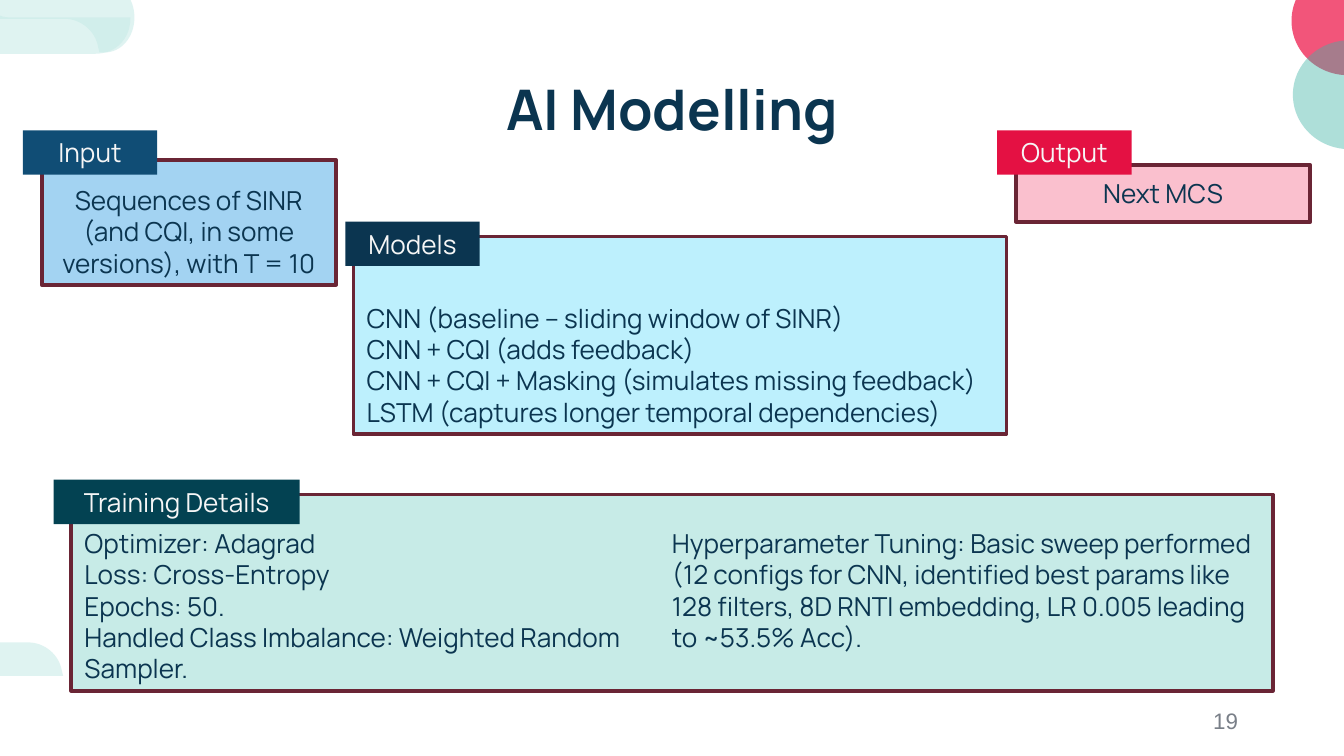
from dataclasses import dataclass

from lxml.etree import Element, SubElement
from pptx import Presentation
from pptx.dml.color import RGBColor
from pptx.enum.shapes import MSO_SHAPE as Shape
from pptx.enum.text import MSO_ANCHOR as Anchor, PP_ALIGN as Align
from pptx.oxml.ns import qn
from pptx.util import Emu, Pt

SCALE = 9144  # 100 px to the inch


@dataclass(frozen=True)
class Theme:
    font: str = "Manrope"
    plain: str = "Arial"
    ink: str = "0B3550"
    light: str = "F6F6F6"
    gray: str = "797F88"
    edge: str = "6A2535"
    sky: str = "BDF0FD"
    blue: str = "A3D3F2"
    navy: str = "104D75"
    pink: str = "FABBCA"
    red: str = "E41143"
    mint: str = "C7EBE7"
    pine: str = "034252"
    rose: str = "F2557A"
    teal: str = "3FB3A6"
    head: int = 30
    body: int = 14
    small: int = 12


T = Theme()


def px(*nums):
    return [Emu(round(n * SCALE)) for n in nums]


def paint(shape, color, alpha=100, edge=None):
    shape.shadow.inherit = False
    shape.fill.solid()
    shape.fill.fore_color.rgb = RGBColor.from_string(color)
    if alpha < 100:
        tone = shape.element.spPr.find(qn("a:solidFill"))[0]
        SubElement(tone, qn("a:alpha")).set("val", str(alpha * 1000))
    if edge:
        shape.line.color.rgb = RGBColor.from_string(edge)
        shape.line.width = Pt(2)
    else:
        shape.line.fill.background()


def write(shape, text, size=T.body, color=T.ink, font=T.font, bold=False,
          align=Align.CENTER, anchor=Anchor.MIDDLE, inset=(10, 5), cols=1):
    """Fill a shape with one paragraph for each line of text."""
    frame = shape.text_frame
    frame.word_wrap = True
    frame.vertical_anchor = anchor
    frame.margin_left = frame.margin_right = px(inset[0])[0]
    frame.margin_top = frame.margin_bottom = px(inset[1])[0]
    if cols > 1:
        shape.element.txBody.bodyPr.set("numCol", str(cols))
    frame.text = text
    for para in frame.paragraphs:
        para.alignment = align
        style = para.runs[0].font
        style.name, style.size, style.bold = font, Pt(size), bold
        style.color.rgb = RGBColor.from_string(color)


def card(slide, box, tab, label, text, fill, tint, alpha=100, **form):
    """Outlined box with a label tab; tab is (dx, dy, width) from the box."""
    left, top, wide, high = box
    dx, dy, span = tab
    parts = slide.shapes.add_group_shape().shapes
    panel = parts.add_shape(Shape.RECTANGLE, *px(left, top, wide, high))
    paint(panel, fill, alpha, T.edge)
    write(panel, text, **form)
    flag = parts.add_shape(Shape.RECTANGLE, *px(left + dx, top + dy, span, 33))
    paint(flag, tint)
    write(flag, label, color=T.light)


def label(slide, box, text, **form):
    write(slide.shapes.add_textbox(*px(*box)), text, **form)


def blob(slide, origin, start, *segs):
    """Outline from its top left: pairs are corners, sixes Bézier curves."""
    left, top = origin
    dots = [px(left + x, top + y)
            for x, y in (start, *(seg[-2:] for seg in segs))]
    pen = slide.shapes.build_freeform(*dots[0], scale=1.0)
    pen.add_line_segments(dots[1:], close=True)
    shape = pen.convert_to_shape()
    lines = list(shape.element.spPr.iter(qn("a:lnTo")))
    for line, seg in zip(lines, segs):
        if len(seg) == 6:
            curve = Element(qn("a:cubicBezTo"))
            for i in (0, 2, 4):
                x, y = px(*seg[i:i + 2])
                SubElement(curve, qn("a:pt"), x=str(int(x)), y=str(int(y)))
            line.getparent().replace(line, curve)
    paint(shape, T.mint, 56)


def circles(slide, box):
    left, top, wide, high = box
    for dx, dy, color, alpha in ((0, 0, T.rose, 100), (1, 55, T.teal, 42)):
        disc = slide.shapes.add_shape(
            Shape.OVAL, *px(left + dx, top + dy, wide, high))
        paint(disc, color, alpha)


def leaves(slide):
    blob(slide, (-66, 478), (0, 0), (87, 0), (99, 0, 110, 9, 112, 21),
         (113, 25), (23, 25), (12, 25, 3, 16, 1, 4))
    blob(slide, (-39, -13), (23, 0), (117, 0), (129, 0, 139, 11, 139, 26),
         (139, 41, 129, 52, 117, 52), (113, 52), (112, 48),
         (110, 36, 99, 27, 87, 27), (1, 27), (0, 26), (0, 11, 10, 0, 23, 0))
    blob(slide, (-64, -12), (26, 0), (49, 0), (49, 4),
         (52, 16, 60, 25, 71, 25), (161, 25), (161, 26),
         (161, 41, 150, 52, 135, 52), (26, 52), (12, 52, 0, 41, 0, 26),
         (0, 12, 12, 0, 26, 0))


def main():
    deck = Presentation()
    deck.slide_width, deck.slide_height = px(1000, 562.5)
    slide = deck.slides.add_slide(deck.slide_layouts[6])

    label(slide, (706, 521, 225, 30), "19", size=T.small, color=T.gray,
          font=T.plain, align=Align.RIGHT)
    label(slide, (79, 49, 842, 63), "AI Modelling", size=T.head, bold=True,
          inset=(10, 10))

    card(slide, (263, 176, 486, 147), (-6, -11, 100), "Models",
         "CNN (baseline – sliding window of SINR)\n"
         "CNN + CQI (adds feedback)\n"
         "CNN + CQI + Masking (simulates missing feedback)\n"
         "LSTM (captures longer temporal dependencies)",
         T.sky, T.ink, align=Align.LEFT, anchor=Anchor.BOTTOM)
    card(slide, (31, 119, 219, 93), (-14, -22, 100), "Input",
         "Sequences of SINR (and CQI, in some versions), with T = 10",
         T.blue, T.navy, anchor=Anchor.BOTTOM)
    card(slide, (756, 123, 219, 42), (-14, -26, 100), "Output", "Next MCS",
         T.pink, T.red, alpha=92)
    card(slide, (53, 368, 894, 146), (-13, -11, 183), "Training Details",
         "Optimizer: Adagrad\n"
         "Loss: Cross-Entropy\n"
         "Epochs: 50.\n"
         "Handled Class Imbalance: Weighted Random Sampler.\n"
         "Hyperparameter Tuning: Basic sweep performed (12 configs for CNN, "
         "identified best params like 128 filters, 8D RNTI embedding, "
         "LR 0.005 leading to ~53.5% Acc).",
         T.mint, T.pine, align=Align.LEFT, anchor=Anchor.BOTTOM, cols=2)

    circles(slide, (961, -25, 84, 81))
    leaves(slide)
    deck.save("out.pptx")


if __name__ == "__main__":
    main()
